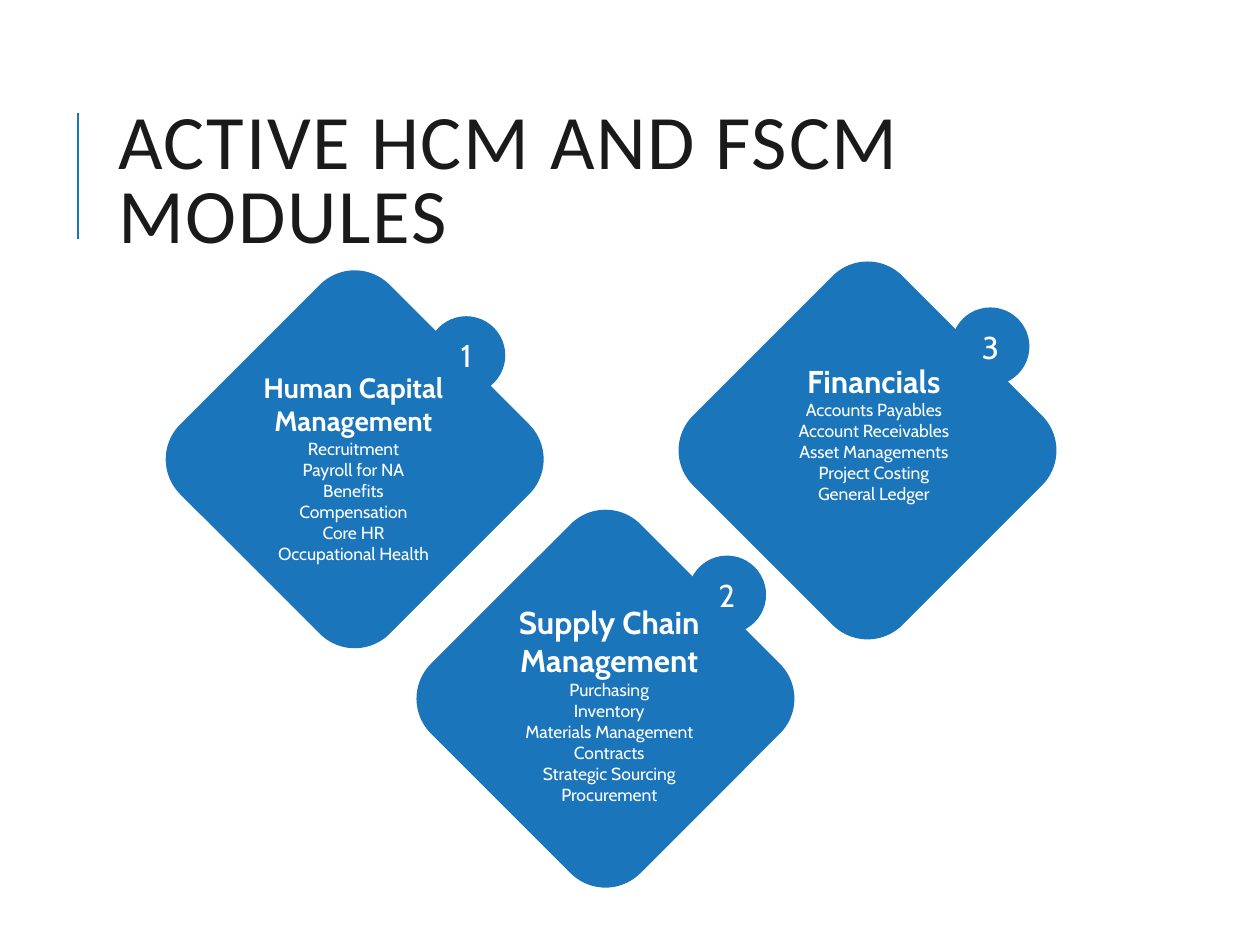
from lxml import etree
from pptx import Presentation
from pptx.dml.color import RGBColor
from pptx.enum.shapes import MSO_CONNECTOR, MSO_SHAPE
from pptx.enum.text import MSO_ANCHOR, MSO_AUTO_SIZE, PP_ALIGN
from pptx.oxml.ns import qn
from pptx.util import Pt

BLUE = RGBColor(0x1B, 0x75, 0xBB)
WHITE = RGBColor(0xFF, 0xFF, 0xFF)
INK = RGBColor(0x1A, 0x1A, 0x1A)
LINE = MSO_CONNECTOR.STRAIGHT
ROUND = MSO_SHAPE.ROUNDED_RECTANGLE
OVAL = MSO_SHAPE.OVAL
MIDDLE = MSO_ANCHOR.MIDDLE
CENTER = PP_ALIGN.CENTER
GROW = MSO_AUTO_SIZE.SHAPE_TO_FIT_TEXT
SIDE = 169.2
BADGE = 44.64

MODULES = [
    {"number": "1", "at": (118.08, 177.84), "badge": 126, "text": (2.88, 30.24),
     "high": 118.8, "size": 16, "head": "Human Capital Management",
     "items": ["Recruitment", "Payroll for NA", "Benefits", "Compensation",
               "Core HR", "Occupational Health"]},
    {"number": "2", "at": (261.36, 314.64), "badge": 131.76, "text": (5.76, 26.64),
     "high": 123.84, "size": 18, "head": "Supply Chain Management",
     "items": ["Purchasing", "Inventory", "Materials Management", "Contracts",
               "Strategic Sourcing", "Procurement"]},
    {"number": "3", "at": (411.12, 172.8), "badge": 132.48, "text": (7.2, 30.24),
     "high": 90, "size": 18, "head": "Financials",
     "items": ["Accounts Payables", "Account Receivables", "Asset Managements",
               "Project Costing", "General Ledger"]},
]


def style(para, name, size, color, bold=False):
    """Set the font of a paragraph."""
    font = para.font
    font.name, font.size, font.bold = name, Pt(size), bold
    font.color.rgb = color


def add_title(slide):
    """Add the title and the rule at its left."""
    rule = slide.shapes.add_connector(LINE, Pt(44.64), Pt(136.8), Pt(44.64), Pt(64.8))
    rule.line.color.rgb = BLUE
    rule.line.width = Pt(1.5)
    etree.SubElement(rule._element.spPr, qn("a:effectLst"))
    box = slide.shapes.add_textbox(Pt(60.48), Pt(46.08), Pt(573.84), Pt(118.08))
    frame = box.text_frame
    frame.word_wrap = True
    frame.vertical_anchor = MIDDLE
    para = frame.paragraphs[0]
    run = para.add_run()
    run.text = "ACTIVE HCM AND FSCM MODULES"
    run.font._element.set("spc", "100")
    para.line_spacing = 0.8
    style(para, "Calibri", 44, INK)


def add_solid(slide, kind, left, top, size):
    """Add a square-sized blue shape without outline."""
    shape = slide.shapes.add_shape(kind, Pt(left), Pt(top), Pt(size), Pt(size))
    shape.shadow.inherit = False
    shape.fill.solid()
    shape.fill.fore_color.rgb = BLUE
    shape.line.fill.background()
    return shape


def add_list(slide, left, top, module):
    """Add the heading and items of a module."""
    box = slide.shapes.add_textbox(Pt(left), Pt(top), Pt(162), Pt(module["high"]))
    frame = box.text_frame
    frame.word_wrap = True
    frame.auto_size = GROW
    frame.text = "\n".join([module["head"], *module["items"]])
    for i, para in enumerate(frame.paragraphs):
        para.alignment = CENTER
        style(para, "Cabin", 10 if i else module["size"], WHITE, i == 0)


def add_module(slide, module):
    """Add a diamond with its numbered badge and list."""
    left, top = module["at"]
    add_solid(slide, ROUND, left, top, SIDE).rotation = 45
    badge = add_solid(slide, OVAL, left + module["badge"], top + 2.88, BADGE)
    frame = badge.text_frame
    frame.text = module["number"]
    frame.vertical_anchor = MIDDLE
    frame.paragraphs[0].alignment = CENTER
    style(frame.paragraphs[0], "Cabin", 18, WHITE)
    right, down = module["text"]
    add_list(slide, left + right, top + down, module)


def main():
    """Build the slide and save it."""
    deck = Presentation()
    deck.slide_width, deck.slide_height = Pt(720), Pt(540)
    slide = deck.slides.add_slide(deck.slide_layouts[6])
    add_title(slide)
    for module in MODULES:
        add_module(slide, module)
    deck.save("out.pptx")


if __name__ == "__main__":
    main()
